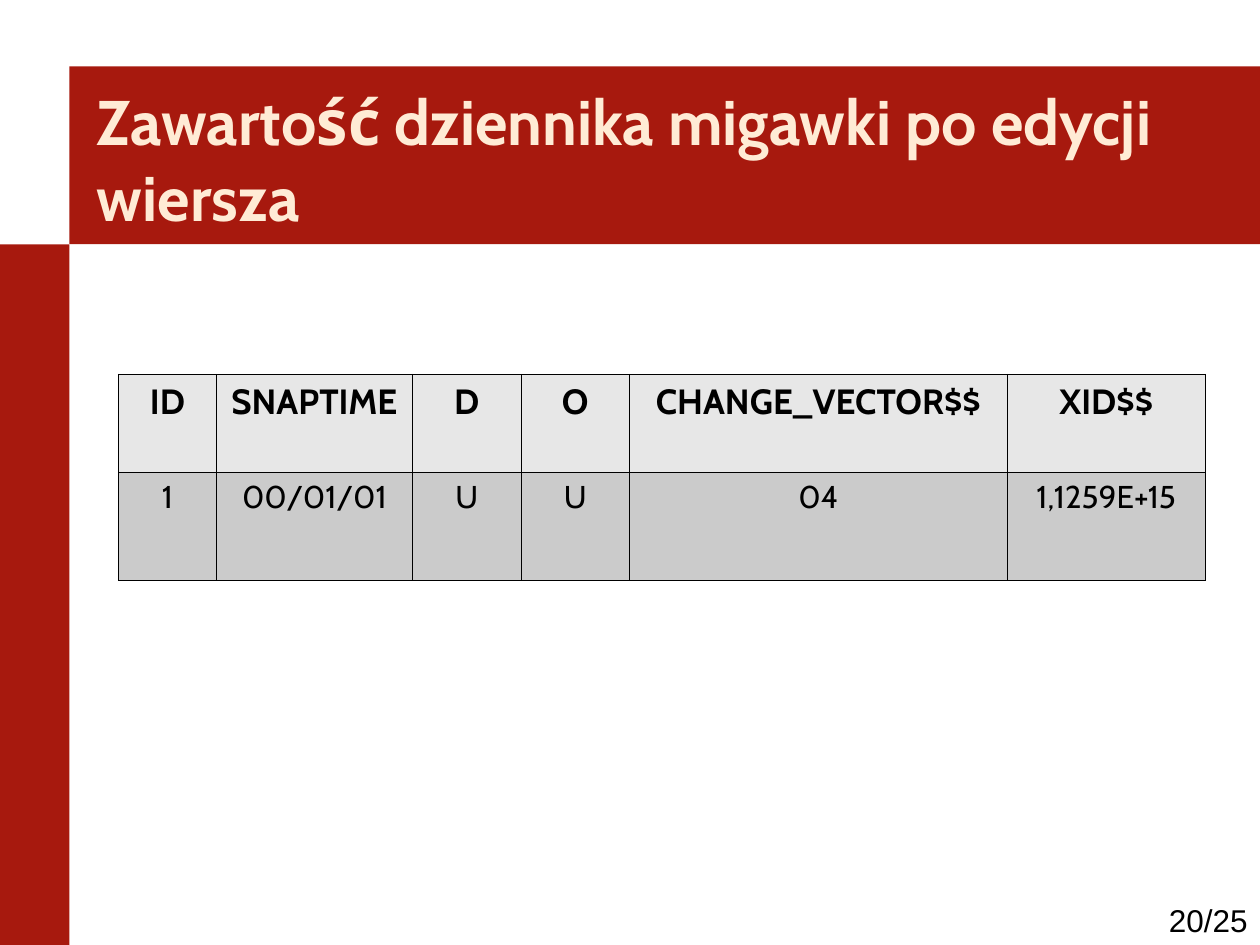
from lxml import etree
from pptx import Presentation
from pptx.dml.color import RGBColor
from pptx.enum.shapes import MSO_SHAPE
from pptx.enum.text import MSO_ANCHOR, MSO_AUTO_SIZE, PP_ALIGN
from pptx.oxml.ns import qn
from pptx.util import Pt

RECTANGLE = MSO_SHAPE.RECTANGLE
MIDDLE, TOP = MSO_ANCHOR.MIDDLE, MSO_ANCHOR.TOP
NO_AUTOFIT = MSO_AUTO_SIZE.NONE
LEFT, CENTER, RIGHT = PP_ALIGN.LEFT, PP_ALIGN.CENTER, PP_ALIGN.RIGHT

COLORS = {
    "band": "A7190E",
    "title": "FFEBD5",
    "text": "000000",
    "header": "E7E7E7",
    "row": "CBCBCB",
}
TITLE_FONT = {"name": "Cabin", "size": Pt(36), "bold": True}
HEADER_FONT = {"name": "Cabin", "size": Pt(20), "bold": True}
ROW_FONT = {"name": "Cabin", "size": Pt(18), "bold": False}
PAGE_FONT = {"name": "Arial", "size": Pt(18)}

COLUMN_WIDTHS = [56, 112, 62, 62, 216, 113]
ROWS = [
    (56, "header", HEADER_FONT,
     ["ID", "SNAPTIME", "D", "O", "CHANGE_VECTOR$$", "XID$$"]),
    (62, "row", ROW_FONT,
     ["1", "00/01/01", "U", "U", "04", "1,1259E+15"]),
]


def color(name):
    return RGBColor.from_string(COLORS[name])


def write(text_frame, text, font_format, color_name, alignment):
    paragraph = text_frame.paragraphs[0]
    paragraph.text = text
    paragraph.alignment = alignment
    font = paragraph.runs[0].font
    for attribute, value in font_format.items():
        setattr(font, attribute, value)
    font.color.rgb = color(color_name)


def add_band(slide, left, top, width, height):
    band = slide.shapes.add_shape(
        RECTANGLE, Pt(left), Pt(top), Pt(width), Pt(height))
    band.shadow.inherit = False
    band.fill.solid()
    band.fill.fore_color.rgb = color("band")
    band.line.fill.background()


def place_title(slide, text):
    """Fill the title placeholder and bring it in front of the bands."""
    title = slide.shapes.title
    position = {"left": 48.2, "top": 49.7, "width": 663, "height": 81.4}
    for attribute, value in position.items():
        setattr(title, attribute, Pt(value))
    title.text_frame.word_wrap = True
    title.text_frame.auto_size = NO_AUTOFIT
    title.text_frame.vertical_anchor = MIDDLE
    write(title.text_frame, text, TITLE_FONT, "title", LEFT)
    title.element.getparent().append(title.element)


def add_page_number(slide, text):
    box = slide.shapes.add_textbox(Pt(635.8), Pt(511.2), Pt(84.2), Pt(50.4))
    box.text_frame.word_wrap = True
    write(box.text_frame, text, PAGE_FONT, "text", RIGHT)


def set_borders(cell, width):
    properties = cell._tc.get_or_add_tcPr()
    for index, side in enumerate(("a:lnL", "a:lnR", "a:lnT", "a:lnB")):
        line = etree.Element(qn(side), w=str(Pt(width)))
        fill = etree.SubElement(line, qn("a:solidFill"))
        etree.SubElement(fill, qn("a:srgbClr"), val=COLORS["text"])
        properties.insert(index, line)


def add_log_table(slide, left, top):
    heights = [row[0] for row in ROWS]
    table = slide.shapes.add_table(
        len(ROWS), len(COLUMN_WIDTHS), Pt(left), Pt(top),
        Pt(sum(COLUMN_WIDTHS)), Pt(sum(heights))).table
    for column, width in zip(table.columns, COLUMN_WIDTHS):
        column.width = Pt(width)
    for row, (height, fill_name, font_format, texts) in zip(table.rows, ROWS):
        row.height = Pt(height)
        for cell, text in zip(row.cells, texts):
            cell.fill.solid()
            cell.fill.fore_color.rgb = color(fill_name)
            cell.vertical_anchor = TOP
            write(cell.text_frame, text, font_format, "text", CENTER)
            set_borders(cell, 0.45)


def main():
    presentation = Presentation()
    presentation.slide_width = Pt(720)
    presentation.slide_height = Pt(540)
    title_only = presentation.slide_layouts[5]
    slide = presentation.slides.add_slide(title_only)
    add_band(slide, 39.6, 38, 680.4, 101.6)
    add_band(slide, 0, 139.6, 39.6, 400.4)
    add_page_number(slide, "20/25")
    place_title(slide, "Zawartość dziennika migawki po edycji wiersza")
    add_log_table(slide, 67.7, 213.8)
    presentation.save("out.pptx")


if __name__ == "__main__":
    main()
